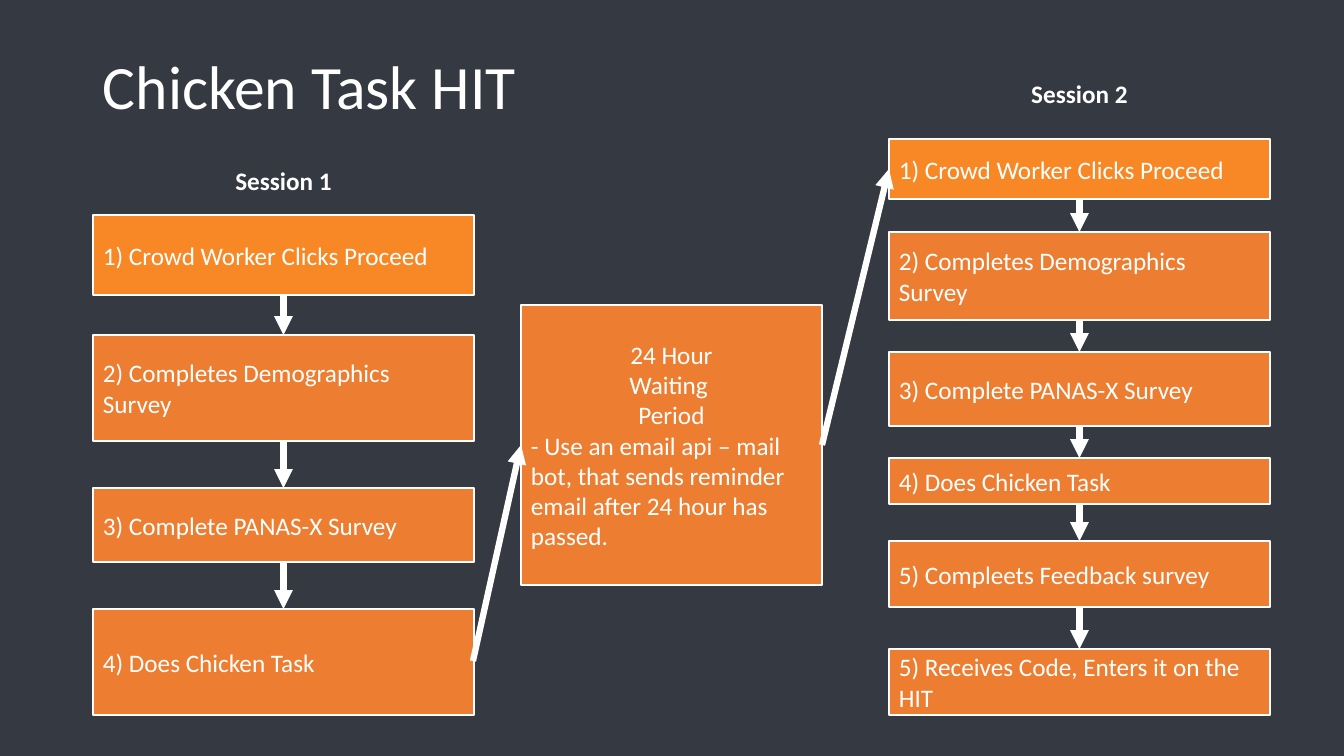
from lxml import etree
from pptx import Presentation
from pptx.dml.color import RGBColor
from pptx.enum.shapes import MSO_CONNECTOR as CONNECTOR, MSO_SHAPE as SHAPE
from pptx.enum.text import MSO_ANCHOR as ANCHOR, PP_ALIGN as ALIGN
from pptx.oxml.ns import qn
from pptx.util import Pt

PX = 12192000 / 1344  # EMU per px

BACKGROUND = RGBColor(0x34, 0x39, 0x42)
WHITE = RGBColor(0xFF, 0xFF, 0xFF)
START_FILL = RGBColor(0xF7, 0x88, 0x25)
STEP_FILL = RGBColor(0xED, 0x7D, 0x31)

STEP_WIDTH = 381
LABEL_WIDTH = 195

presentation = Presentation()
presentation.slide_width = round(1344 * PX)
presentation.slide_height = round(756 * PX)
slide = presentation.slides.add_slide(presentation.slide_layouts[6])
slide.background.fill.solid()
slide.background.fill.fore_color.rgb = BACKGROUND


def add_text(box, text, fill=None, size=18, bold=False, align=ALIGN.LEFT, anchor=ANCHOR.MIDDLE):
    """Add a text box, or a bordered rectangle when a fill is given."""
    left, top, width, height = [round(length * PX) for length in box]
    if fill is None:
        shape = slide.shapes.add_textbox(left, top, width, height)
    else:
        shape = slide.shapes.add_shape(SHAPE.RECTANGLE, left, top, width, height)
        shape.shadow.inherit = False
        shape.fill.solid()
        shape.fill.fore_color.rgb = fill
        shape.line.color.rgb = WHITE
        shape.line.width = Pt(1)
    frame = shape.text_frame
    frame.word_wrap = True
    frame.vertical_anchor = anchor
    frame.text = text
    for paragraph in frame.paragraphs:
        paragraph.alignment = align
        for run in paragraph.runs:
            run.font.name = "Calibri"
            run.font.size = Pt(size)
            run.font.bold = bold
            run.font.color.rgb = WHITE
    return shape


def add_arrow(*ends):
    arrow = slide.shapes.add_connector(
        CONNECTOR.STRAIGHT, *[round(length * PX) for length in ends])
    arrow.line.color.rgb = WHITE
    arrow.line.width = Pt(4.5)
    etree.SubElement(arrow.line._get_or_add_ln(), qn("a:tailEnd"), type="triangle")
    etree.SubElement(arrow._element.spPr, qn("a:effectLst"))


# Title
title = add_text((93, 40, 1159, 99), "Chicken Task HIT", size=44)
title.text_frame.paragraphs[0].line_spacing = 0.9

# Sessions: label, left, label top, then text, top and height of each step
sessions = [
    ("Session 1", 93, 160, [
        ("1) Crowd Worker Clicks Proceed", 215, 80),
        ("2) Completes Demographics Survey", 335, 106),
        ("3) Complete PANAS-X Survey", 488, 74),
        ("4) Does Chicken Task", 609, 106),
    ]),
    ("Session 2", 889, 73, [
        ("1) Crowd Worker Clicks Proceed", 139, 60),
        ("2) Completes Demographics Survey", 232, 88),
        ("3) Complete PANAS-X Survey", 352, 74),
        ("4) Does Chicken Task", 458, 46),
        ("5) Compleets Feedback survey", 541, 66),
        ("5) Receives Code, Enters it on the HIT", 649, 66),
    ]),
]
for label, left, label_top, steps in sessions:
    center = left + STEP_WIDTH / 2
    add_text((center - LABEL_WIDTH / 2, label_top, LABEL_WIDTH, 40), label,
             bold=True, align=ALIGN.CENTER, anchor=ANCHOR.TOP)
    previous_bottom = None
    for text, top, height in steps:
        fill = STEP_FILL if previous_bottom else START_FILL
        add_text((left, top, STEP_WIDTH, height), text, fill)
        if previous_bottom:
            add_arrow(center, previous_bottom, center, top)
        previous_bottom = top + height

# Waiting period between the sessions
waiting = add_text(
    (521, 305, 301, 280),
    "24 Hour\nWaiting \nPeriod\n- Use an email api – mail bot, that sends "
    "reminder email after 24 hour has passed.",
    STEP_FILL)
for paragraph in waiting.text_frame.paragraphs[:3]:
    paragraph.alignment = ALIGN.CENTER
add_arrow(473, 661, 521, 445)
add_arrow(822, 445, 889, 169)

presentation.save("out.pptx")
